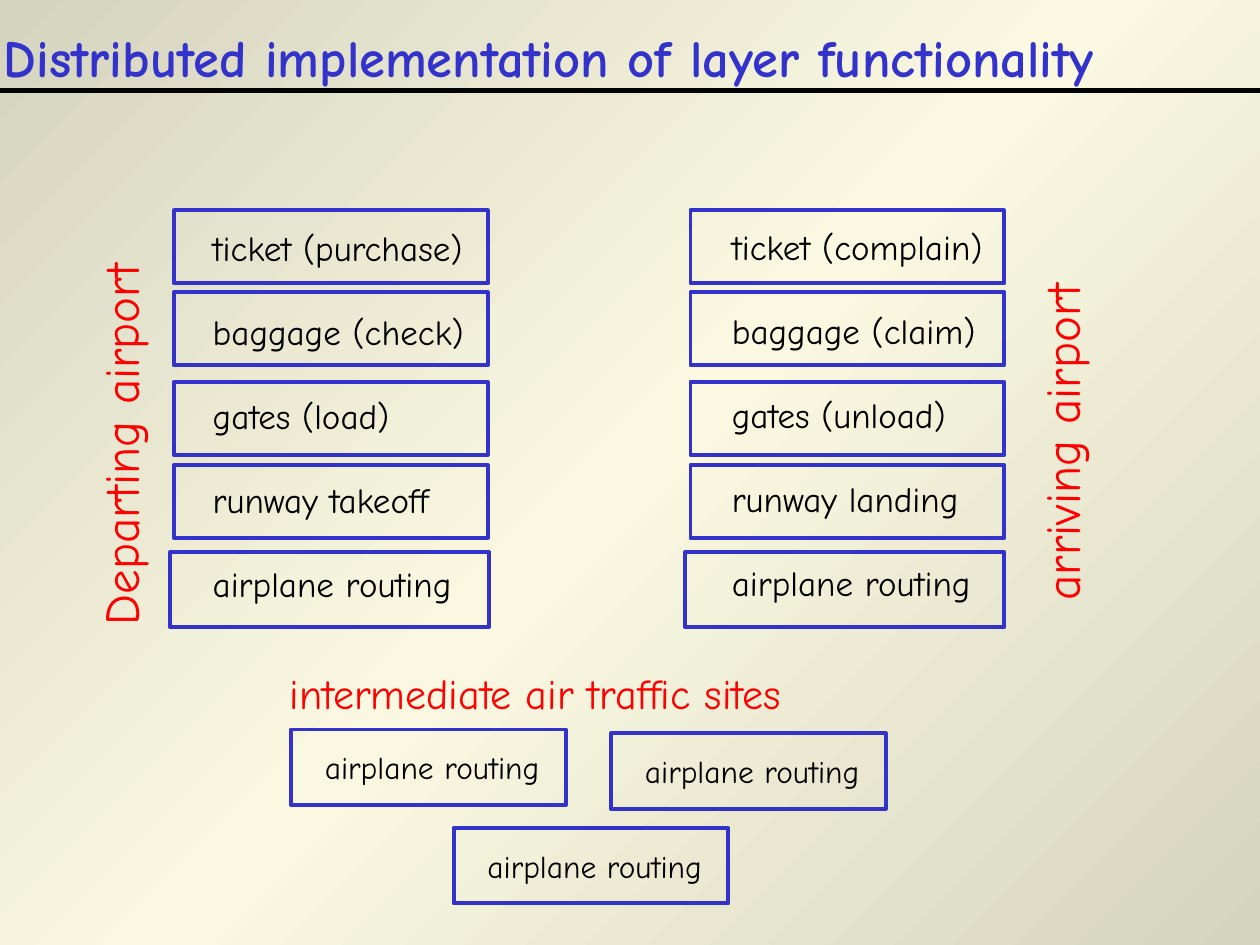
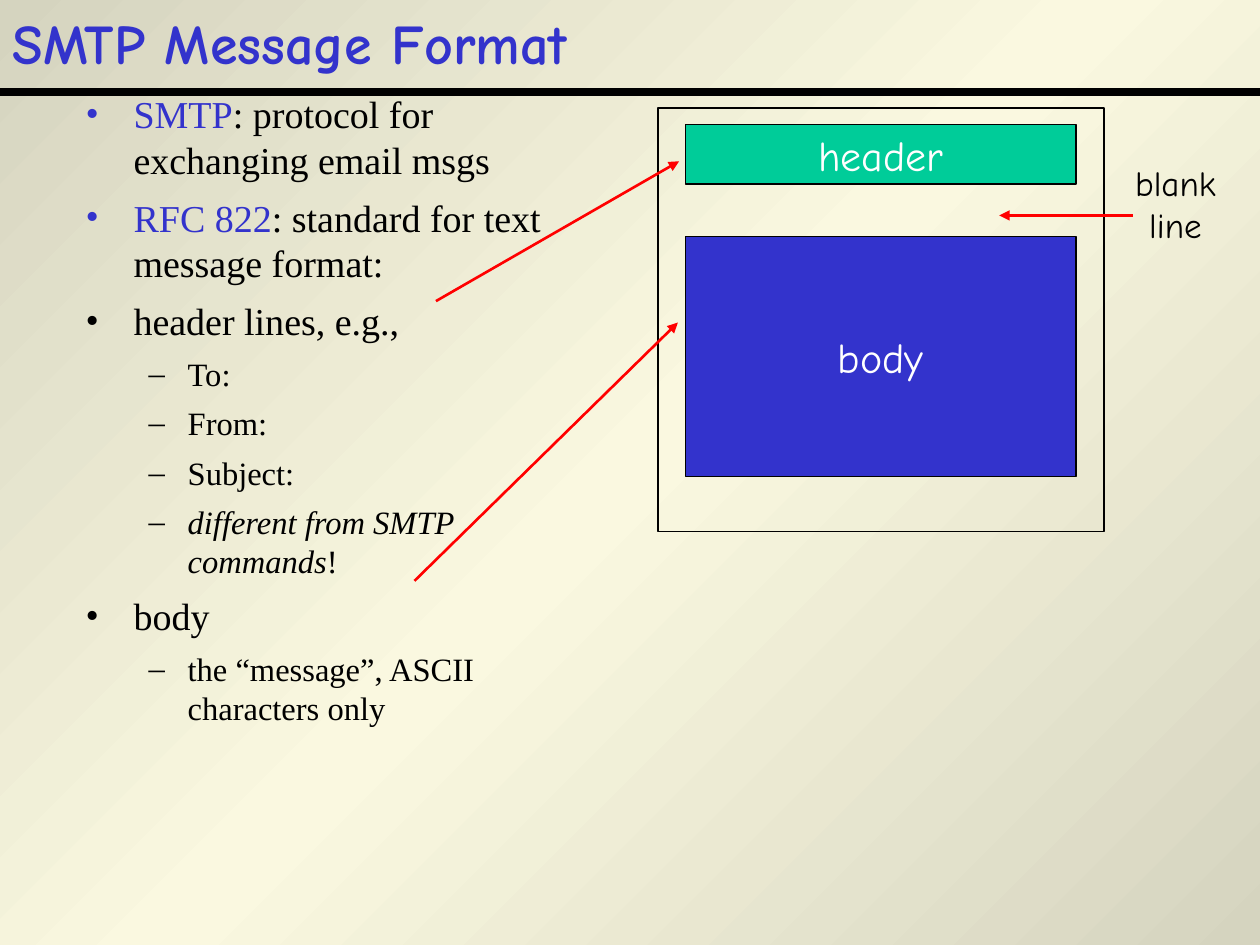
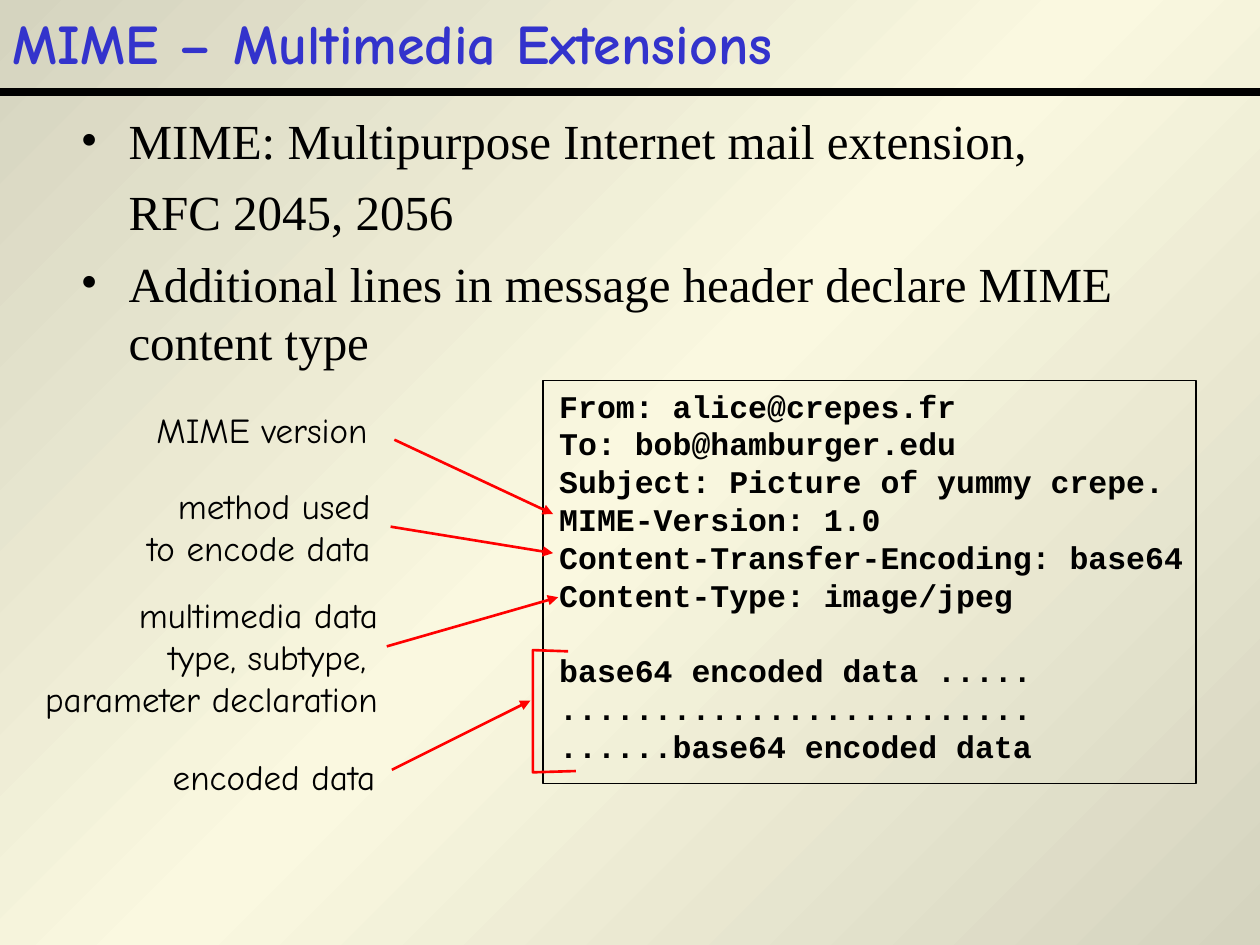
from copy import deepcopy

from lxml.etree import SubElement
from pptx import Presentation
from pptx.dml.color import RGBColor
from pptx.enum.shapes import MSO_CONNECTOR, MSO_SHAPE
from pptx.enum.text import MSO_ANCHOR, MSO_AUTO_SIZE, PP_ALIGN
from pptx.oxml.ns import qn
from pptx.util import Inches, Pt

COLORS = {
    "blue": "3333CC",
    "green": "00CC99",
    "red": "FF0000",
    "black": "000000",
    "white": "FFFFFF",
    "shade": "D5D4BF",
    "cream": "FAF8E0",
}
RGB = {name: RGBColor.from_string(value) for name, value in COLORS.items()}
HAND, SERIF, MONO = "Comic Neue", "Times New Roman", "Courier New"
LEFT, CENTER, RIGHT = PP_ALIGN.LEFT, PP_ALIGN.CENTER, PP_ALIGN.RIGHT


def write(paragraph, text, color="black", **format_values):
    """Add one run in the hand font, changed by the given font attributes."""
    run = paragraph.add_run()
    run.text = text
    for name, value in ({"name": HAND} | format_values).items():
        setattr(run.font, name, value)
    run.font.color.rgb = RGB[color]


def add_line(slide, start, end, color, width, arrow=False):
    points = [Inches(value) for value in (*start, *end)]
    line = slide.shapes.add_connector(MSO_CONNECTOR.STRAIGHT, *points)
    line.line.color.rgb = RGB[color]
    line.line.width = Pt(width)
    properties = line._element.spPr
    if arrow:
        SubElement(properties.find(qn("a:ln")), qn("a:tailEnd"), type="triangle")
    SubElement(properties, qn("a:effectLst"))


presentation = Presentation()
presentation.slide_width = Inches(10)
presentation.slide_height = Inches(7.5)

# Shared diagonal background
master = presentation.slide_master
background = master.background.fill
background.gradient()
background.gradient_angle = 135
stop_list = master.element.find(".//" + qn("p:bg")).find(".//" + qn("a:gsLst"))
stop_list.append(deepcopy(stop_list[0]))
for stop, position, color in zip(background.gradient_stops, (0, 0.5, 1),
                                 ("shade", "cream", "shade")):
    stop.position = position
    stop.color.rgb = RGB[color]

# Titles and the rules below them
TITLES = [
    ("Distributed implementation of layer functionality", 5, (-0.07, 0.11, 10.33, 0.67), 30, [0.72]),
    ("SMTP Message Format", 1, (0, 0, 8.5, 0.67), 32, [0.72, 0.74]),
    ("MIME – Multimedia Extensions", 1, (0, 0, 8.5, 0.67), 32, [0.72, 0.74]),
]
for text, layout, box, size, rules in TITLES:
    slide = presentation.slides.add_slide(presentation.slide_layouts[layout])
    title = slide.shapes.title
    title.left, title.top, title.width, title.height = map(Inches, box)
    title.text_frame.auto_size = MSO_AUTO_SIZE.NONE
    title.text_frame.vertical_anchor = MSO_ANCHOR.MIDDLE
    paragraph = title.text_frame.paragraphs[0]
    paragraph.alignment = LEFT
    write(paragraph, text, "blue", size=Pt(size), bold=True)
    for top in rules:
        add_line(slide, (0, top), (10, top), "black", 3)
layers, smtp, mime = presentation.slides

# Bulleted lists: each paragraph has a bullet, a level and its runs
SMTP_LIST = [
    ("•", 0, [("SMTP", "blue"), (": protocol for exchanging email msgs", "black")]),
    ("•", 0, [("RFC 822", "blue"), (": standard for text message format:", "black")]),
    ("•", 0, [("header lines, e.g.,", "black")]),
    ("–", 1, [("To:", "black")]),
    ("–", 1, [("From:", "black")]),
    ("–", 1, [("Subject:", "black")]),
    ("–", 1, [("different from SMTP commands", "black", True), ("!", "black")]),
    ("•", 0, [("body", "black")]),
    ("–", 1, [("the “message”, ASCII characters only", "black")]),
]
MIME_LIST = [
    ("•", 0, [("MIME: Multipurpose Internet mail extension,", "black")]),
    (None, 0, [("RFC 2045, 2056", "black")]),
    ("•", 0, [("Additional lines in message header declare MIME content type", "black")]),
]
LISTS = [
    (smtp, (0.58, 0.67, 4.17, 5.08), (21.7, 18.6), SMTP_LIST),
    (mime, (0.54, 0.83, 9.46, 5.67), (28, 24), MIME_LIST),
]
for slide, box, sizes, items in LISTS:
    body = slide.placeholders[1]
    body.left, body.top, body.width, body.height = map(Inches, box)
    frame = body.text_frame
    frame.auto_size = MSO_AUTO_SIZE.NONE
    for index, (bullet, level, runs) in enumerate(items):
        paragraph = frame.add_paragraph() if index else frame.paragraphs[0]
        paragraph.level = level
        paragraph.space_before = Pt((7, 6)[level] if index else 0)
        properties = paragraph._p.get_or_add_pPr()
        properties.set("marL", str(Inches((0.38, 0.81)[level])))
        if bullet:
            properties.set("indent", str(Inches((-0.38, -0.31)[level])))
            bullet_color = SubElement(properties, qn("a:buClr"))
            SubElement(bullet_color, qn("a:srgbClr"), val=COLORS[runs[0][1]])
            SubElement(properties, qn("a:buFont"), typeface=SERIF)
            SubElement(properties, qn("a:buChar"), char=bullet)
        else:
            properties.set("indent", "0")
            SubElement(properties, qn("a:buNone"))
        for text, color, *italic in runs:
            write(paragraph, text, color, name=SERIF, size=Pt(sizes[level]), italic=bool(italic))

# Text boxes: slide, box, lines and the values that differ from the defaults
DEFAULTS = {"size": 20, "color": "black", "align": LEFT, "wrap": False,
            "rotation": 0, "gap": 0, "font": HAND, "bold": False}
RED_LABEL = {"color": "red", "wrap": True}
DEPARTING = ["ticket (purchase)", "baggage (check)", "gates (load)",
             "runway takeoff", "airplane routing"]
ARRIVING = ["ticket (complain)", "baggage (claim)", "gates (unload)",
            "runway landing", "airplane routing"]
HEADER_LINES = [
    "From: alice@crepes.fr",
    "To: bob@hamburger.edu",
    "Subject: Picture of yummy crepe.",
    "MIME-Version: 1.0",
    "Content-Transfer-Encoding: base64",
    "Content-Type: image/jpeg",
]
DATA_LINES = [
    "base64 encoded data .....",
    ".........................",
    "......base64 encoded data",
]
SITES = [(3.6, 6.57), (2.31, 5.79), (4.85, 5.82)]
CODE = {"size": 18, "font": MONO, "bold": True, "wrap": True}
TEXTS = [
    (layers, (1.59, 1.75, 2.2, 3.1), DEPARTING, {"gap": 24}),
    (layers, (5.71, 1.74, 2.19, 3.1), ARRIVING, {"gap": 24}),
    (layers, (-0.74, 3.08, 3.39, 0.57), ["Departing airport"], RED_LABEL | {"size": 28, "rotation": 270}),
    (layers, (6.87, 3.03, 3.1, 0.57), ["arriving airport"], RED_LABEL | {"size": 28, "rotation": 270}),
    (layers, (2.2, 5.25, 5.73, 0.5), ["intermediate air traffic sites"], RED_LABEL | {"size": 24}),
    *[(layers, (left + 0.17, top + 0.1, 1.9, 0.4), ["airplane routing"], {"size": 18})
      for left, top in SITES],
    (smtp, (8.91, 1.23, 0.84, 0.77), ["blank", "line"], {"align": CENTER}),
    (mime, (4.34, 3.02, 5.44, 1.9), HEADER_LINES, CODE),
    (mime, (4.34, 5.12, 5.44, 1), DATA_LINES, CODE),
    (mime, (0.24, 4.66, 2.86, 1.1),
     ["multimedia data", "type, subtype, ", "parameter declaration"], {"align": RIGHT}),
    (mime, (1.05, 3.8, 1.99, 0.77), ["method used", "to encode data"], {"align": RIGHT}),
    (mime, (1.14, 3.19, 1.88, 0.44), ["MIME version"], {"align": CENTER}),
    (mime, (1.27, 5.95, 1.81, 0.44), ["encoded data"], {"align": CENTER}),
]
for slide, box, lines, changes in TEXTS:
    style = DEFAULTS | changes
    text_box = slide.shapes.add_textbox(*map(Inches, box))
    text_box.rotation = style["rotation"]
    frame = text_box.text_frame
    frame.word_wrap = style["wrap"]
    frame.auto_size = MSO_AUTO_SIZE.SHAPE_TO_FIT_TEXT
    for index, text in enumerate(lines):
        paragraph = frame.add_paragraph() if index else frame.paragraphs[0]
        paragraph.alignment = style["align"]
        paragraph.space_before = Pt(style["gap"] if index else 0)
        write(paragraph, text, style["color"], name=style["font"],
              size=Pt(style["size"]), bold=style["bold"])

# Rectangles: slide, box, fill, line colour, line width, label
LAYER_TOPS = [1.67, 2.32, 3.03, 3.69]
RECTANGLES = [
    *[(layers, (left, top, 2.49, 0.58), None, "blue", 2.25, None)
      for left in (1.38, 5.48) for top in LAYER_TOPS],
    *[(layers, (left, 4.38, 2.53, 0.6), None, "blue", 2.25, None) for left in (1.35, 5.44)],
    *[(layers, (*site, 2.18, 0.6), None, "blue", 2.25, None) for site in SITES],
    (smtp, (5.44, 0.99, 3.1, 0.47), "green", "black", 0.75, "header"),
    (smtp, (5.44, 1.88, 3.1, 1.9), "blue", "black", 0.75, "body"),
    (smtp, (5.22, 0.86, 3.54, 3.36), None, "black", 1, None),
    (mime, (4.31, 3.02, 5.18, 3.2), None, "black", 1, None),
]
for slide, box, fill, color, width, label in RECTANGLES:
    shape = slide.shapes.add_shape(MSO_SHAPE.RECTANGLE, *map(Inches, box))
    shape.shadow.inherit = False
    shape.line.color.rgb = RGB[color]
    shape.line.width = Pt(width)
    if fill:
        shape.fill.solid()
        shape.fill.fore_color.rgb = RGB[fill]
    else:
        shape.fill.background()
    if label:
        shape.text_frame.word_wrap = False
        shape.text_frame.vertical_anchor = MSO_ANCHOR.MIDDLE
        paragraph = shape.text_frame.paragraphs[0]
        paragraph.alignment = CENTER
        write(paragraph, label, "white", size=Pt(24))

# Arrows from each label to the part it names
ARROWS = [
    (smtp, (3.46, 2.39), (5.39, 1.28)),
    (smtp, (3.29, 4.61), (5.38, 2.56)),
    (smtp, (8.99, 1.71), (7.93, 1.71)),
    (mime, (3.13, 3.49), (4.39, 4.08)),
    (mime, (3.1, 4.18), (4.39, 4.39)),
    (mime, (3.07, 5.13), (4.43, 4.74)),
    (mime, (3.11, 6.11), (4.21, 5.56)),
]
for slide, start, end in ARROWS:
    add_line(slide, start, end, "red", 1.5, arrow=True)

# Bracket around the encoded data
builder = mime.shapes.build_freeform(Inches(4.51), Inches(5.17))
corners = [(4.23, 5.16), (4.23, 6.13), (4.57, 6.12)]
builder.add_line_segments([(Inches(x), Inches(y)) for x, y in corners], close=False)
bracket = builder.convert_to_shape()
bracket.shadow.inherit = False
bracket.fill.background()
bracket.line.color.rgb = RGB["red"]
bracket.line.width = Pt(1.5)

presentation.save("out.pptx")
